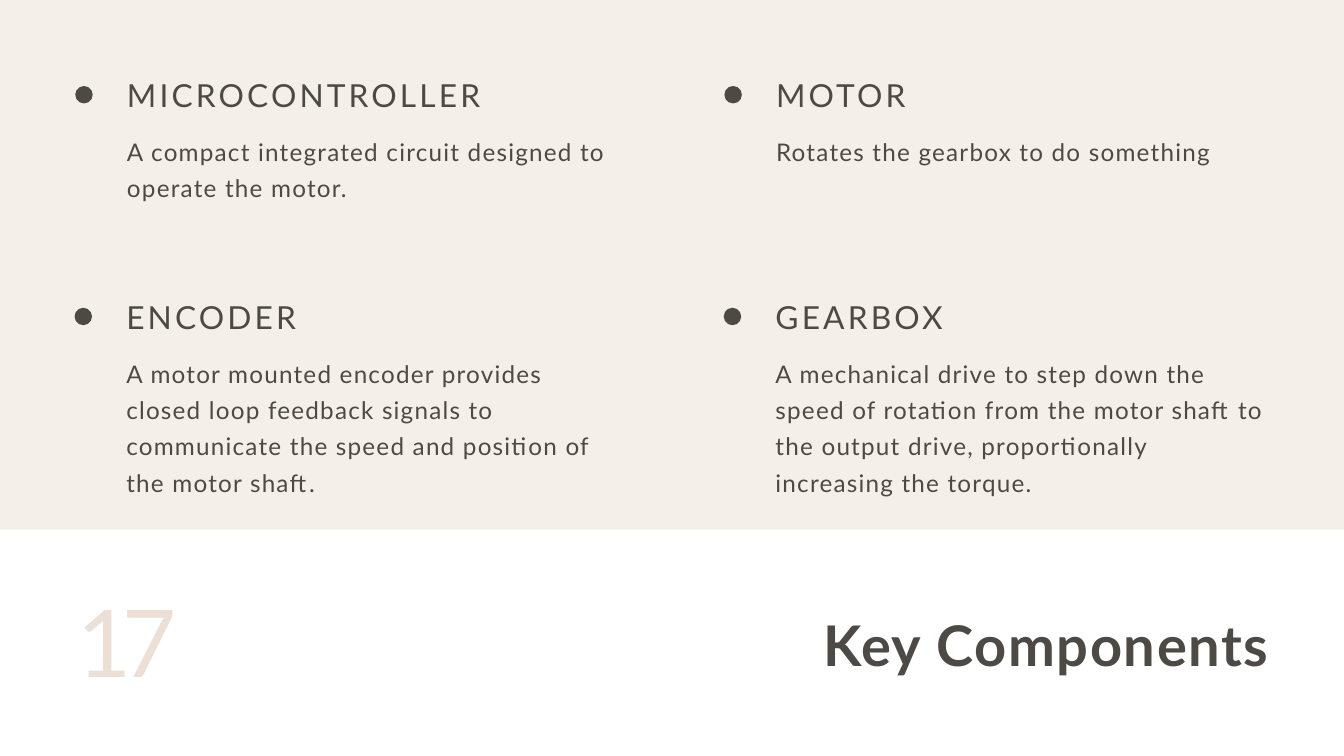
"""Build the Key Components slide with four described parts."""
from lxml.etree import SubElement
from pptx import Presentation
from pptx.dml.color import RGBColor
from pptx.enum.shapes import MSO_SHAPE
from pptx.enum.text import PP_ALIGN
from pptx.oxml.ns import qn
from pptx.util import Inches, Pt

COLORS = {"text": "4D4A46", "panel": "E4D4C5", "number": "EBDFD6", "background": "FFFFFF"}
FONT = "Lato"


def add_text(slide, text, left, top, width, height, size, line_height, spacing,
             color="text", bold=False, align=PP_ALIGN.LEFT):
    text_box = slide.shapes.add_textbox(Inches(left), Inches(top), Inches(width), Inches(height))
    frame = text_box.text_frame
    frame.word_wrap = True
    frame.margin_left = frame.margin_top = frame.margin_right = frame.margin_bottom = 0
    paragraph = frame.paragraphs[0]
    paragraph.alignment = align
    paragraph.line_spacing = Pt(line_height)
    run = paragraph.add_run()
    run.text = text
    run.font.name = FONT
    run.font.size = Pt(size)
    run.font.bold = bold
    run.font.color.rgb = RGBColor.from_string(COLORS[color])
    run.font._element.set("spc", str(round(spacing * 100)))


def add_filled_shape(slide, kind, left, top, width, height, color):
    shape = slide.shapes.add_shape(kind, Inches(left), Inches(top), Inches(width), Inches(height))
    shape.shadow.inherit = False
    shape.fill.solid()
    shape.fill.fore_color.rgb = RGBColor.from_string(COLORS[color])
    shape.line.fill.background()
    return shape


presentation = Presentation()
presentation.slide_width = Inches(20)
presentation.slide_height = Inches(11.25)
slide = presentation.slides.add_slide(presentation.slide_layouts[6])
slide.background.fill.solid()
slide.background.fill.fore_color.rgb = RGBColor.from_string(COLORS["background"])

add_text(slide, "Key Components", 4.57, 9.06, 14.31, 1.04, 60, 74.1, 1.7,
         bold=True, align=PP_ALIGN.RIGHT)
add_text(slide, "17", 1.15, 8.69, 2, 1.67, 100, 120, -9, color="number")

panel = add_filled_shape(slide, MSO_SHAPE.RECTANGLE, -0.38, -0.4, 20.74, 8.28, "panel")
panel_color = panel.fill._xPr.find(qn("a:solidFill")).find(qn("a:srgbClr"))
SubElement(panel_color, qn("a:alpha")).set("val", "35000")

components = [
    (1.89, 1.13, 1.09, "MICROCONTROLLER",
     "A compact integrated circuit designed to operate the motor."),
    (11.55, 1.13, 0.55, "MOTOR", "Rotates the gearbox to do something"),
    (1.88, 4.43, 2.19, "ENCODER",
     "A motor mounted encoder provides closed loop feedback signals to communicate "
     "the speed and position of the motor shaft."),
    (11.54, 4.43, 2.19, "GEARBOX",
     "A mechanical drive to step down the speed of rotation from the motor shaft to "
     "the output drive, proportionally increasing the torque."),
]
for left, top, description_height, name, description in components:
    add_text(slide, name, left, top, 7.33, 0.58, 34, 40.8, 3.4)
    add_text(slide, description, left, top + 0.8, 7.33, description_height, 26, 39, 1.3)
    add_filled_shape(slide, MSO_SHAPE.OVAL, left - 0.77, top + 0.15, 0.26, 0.26, "text")

presentation.save("out.pptx")
